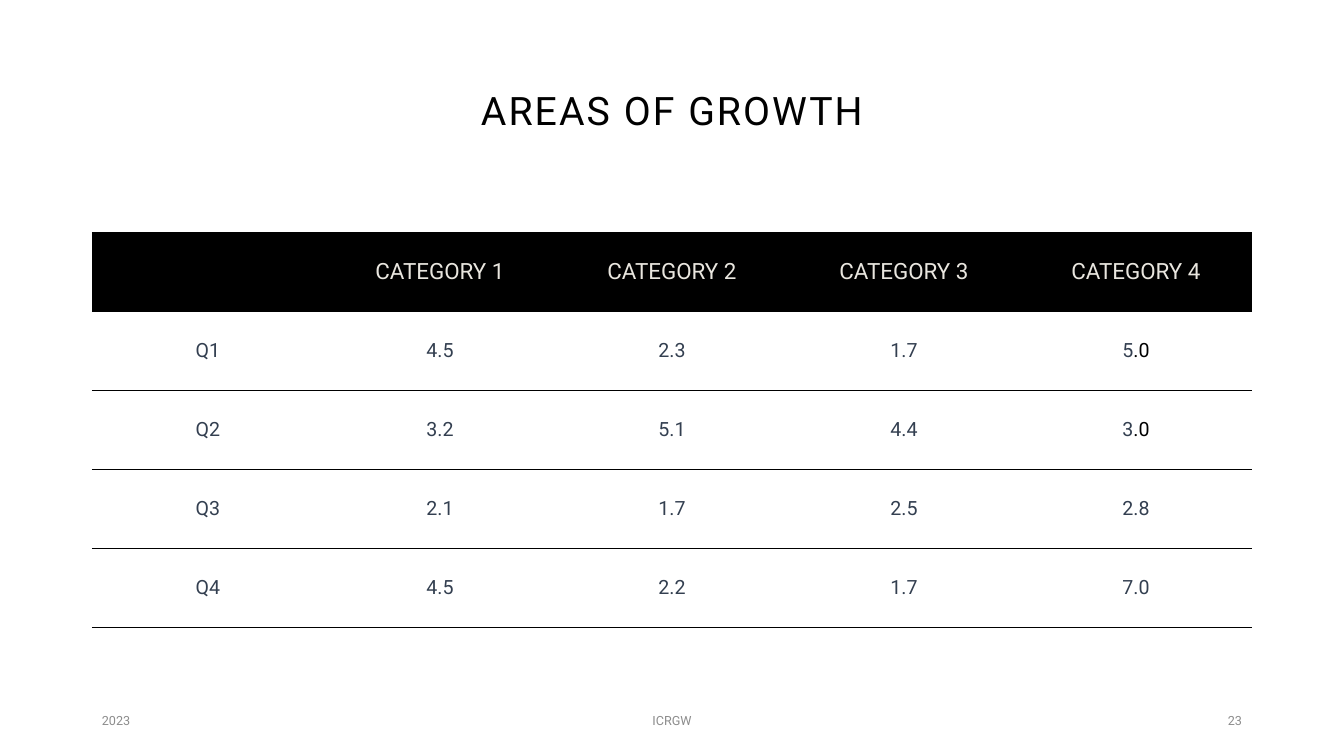
"""Build the quarterly areas-of-growth table slide."""
from lxml.etree import SubElement
from pptx import Presentation
from pptx.dml.color import RGBColor
from pptx.enum.text import MSO_ANCHOR, PP_ALIGN
from pptx.oxml import parse_xml
from pptx.oxml.ns import nsdecls, qn
from pptx.util import Pt

PX = 914400 / 100.8
BLACK = RGBColor(0x00, 0x00, 0x00)
CREAM = RGBColor(0xE9, 0xE6, 0xDF)
SLATE = RGBColor(0x33, 0x3F, 0x50)
GRAY = RGBColor(0x8C, 0x8C, 0x8C)
NO_GRID_STYLE = "{2D5ABB26-0587-4C30-8999-92F81FD0307C}"

ROWS = [
    ["", "CATEGORY 1", "CATEGORY 2", "CATEGORY 3", "CATEGORY 4"],
    ["Q1", "4.5", "2.3", "1.7", "5.0"],
    ["Q2", "3.2", "5.1", "4.4", "3.0"],
    ["Q3", "2.1", "1.7", "2.5", "2.8"],
    ["Q4", "4.5", "2.2", "1.7", "7.0"],
]
BLACK_DECIMALS = [(1, 4), (2, 4)]
COL_W, ROW_H = 232, 79
FOOTERS = [
    ("2023", 92, 302, PP_ALIGN.LEFT),
    ("ICRGW", 445, 454, PP_ALIGN.CENTER),
    ("23", 950, 302, PP_ALIGN.RIGHT),
]


def px(*lengths):
    return [round(n * PX) for n in lengths]


def style(p, size, color, align):
    p.alignment = align
    p.font.name = "Roboto"
    p.font.size = Pt(size)
    p.font.color.rgb = color


prs = Presentation()
prs.slide_width, prs.slide_height = px(1344, 756)
s = prs.slides.add_slide(prs.slide_layouts[5])

title = s.shapes.title
title.left, title.top, title.width, title.height = px(92, 40, 1160, 146)
tf = title.text_frame
tf.text = "AREAS OF GROWTH"
tf.vertical_anchor = MSO_ANCHOR.MIDDLE
p = tf.paragraphs[0]
style(p, 28, BLACK, PP_ALIGN.CENTER)
p.line_spacing = 0.9
p.runs[0].font._element.set("spc", "150")

frame = s.shapes.add_table(len(ROWS), len(ROWS[0]),
                           *px(92, 232, COL_W * len(ROWS[0]), ROW_H * len(ROWS)))
table = frame.table
table.horz_banding = False
table._tbl.tblPr.find(qn("a:tableStyleId")).text = NO_GRID_STYLE
for column in table.columns:
    column.width = px(COL_W)[0]
for row in table.rows:
    row.height = px(ROW_H)[0]

for i, values in enumerate(ROWS):
    for j, value in enumerate(values):
        cell = table.cell(i, j)
        cell.vertical_anchor = MSO_ANCHOR.MIDDLE
        p = cell.text_frame.paragraphs[0]
        style(p, 14 if i else 16, SLATE if i else CREAM, PP_ALIGN.CENTER)
        if (i, j) in BLACK_DECIMALS:
            p.add_run().text = value[0]
            r = p.add_run()
            r.text = value[1:]
            r.font.color.rgb = BLACK
        elif value:
            p.add_run().text = value
        tcPr = cell._tc.get_or_add_tcPr()
        for side in ("lnT", "lnB"):
            line = parse_xml(f'<a:{side} {nsdecls("a")} w="6350"/>')
            fill = SubElement(line, qn("a:solidFill"))
            SubElement(fill, qn("a:srgbClr"), val=str(BLACK))
            tcPr.append(line)
        if i == 0:
            cell.fill.solid()
            cell.fill.fore_color.rgb = BLACK
        else:
            cell.fill.background()

for text, left, width, align in FOOTERS:
    tf = s.shapes.add_textbox(*px(left, 701, width, 40)).text_frame
    tf.word_wrap = True
    tf.vertical_anchor = MSO_ANCHOR.MIDDLE
    tf.text = text
    style(tf.paragraphs[0], 9, GRAY, align)

prs.save("out.pptx")
